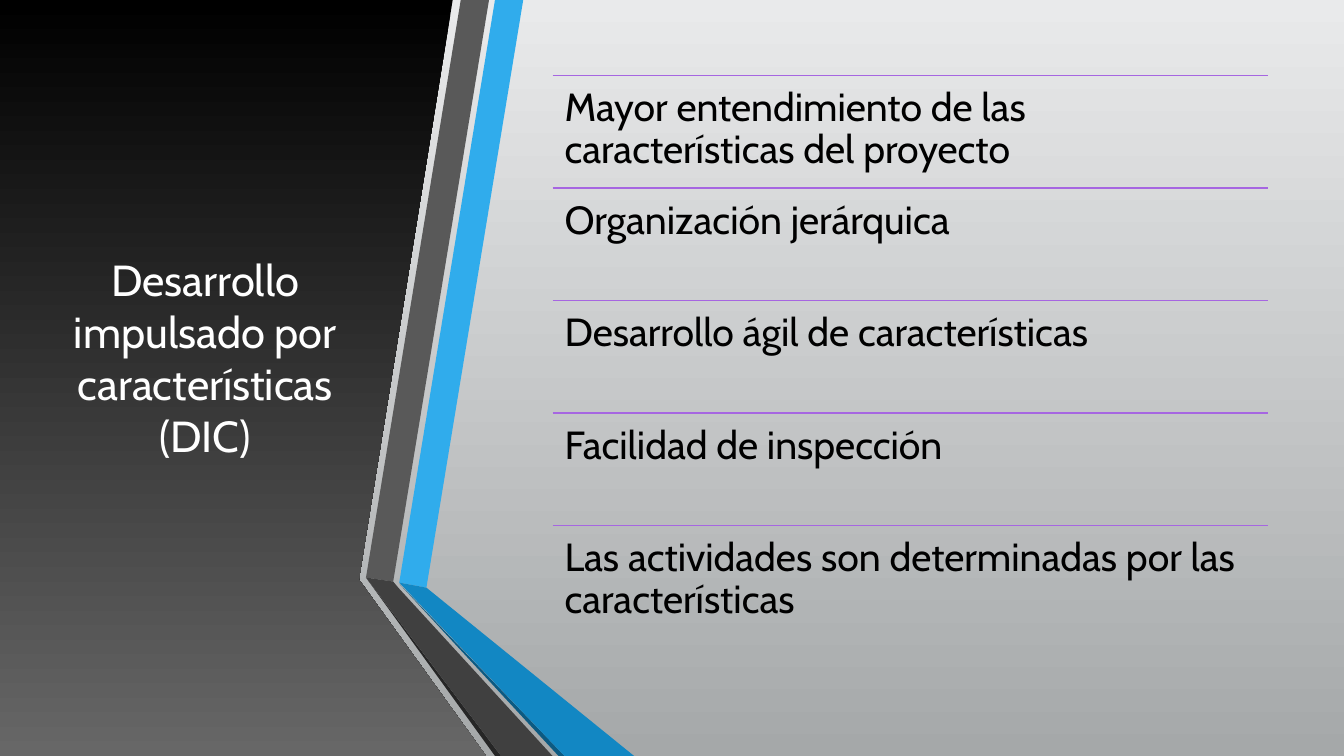
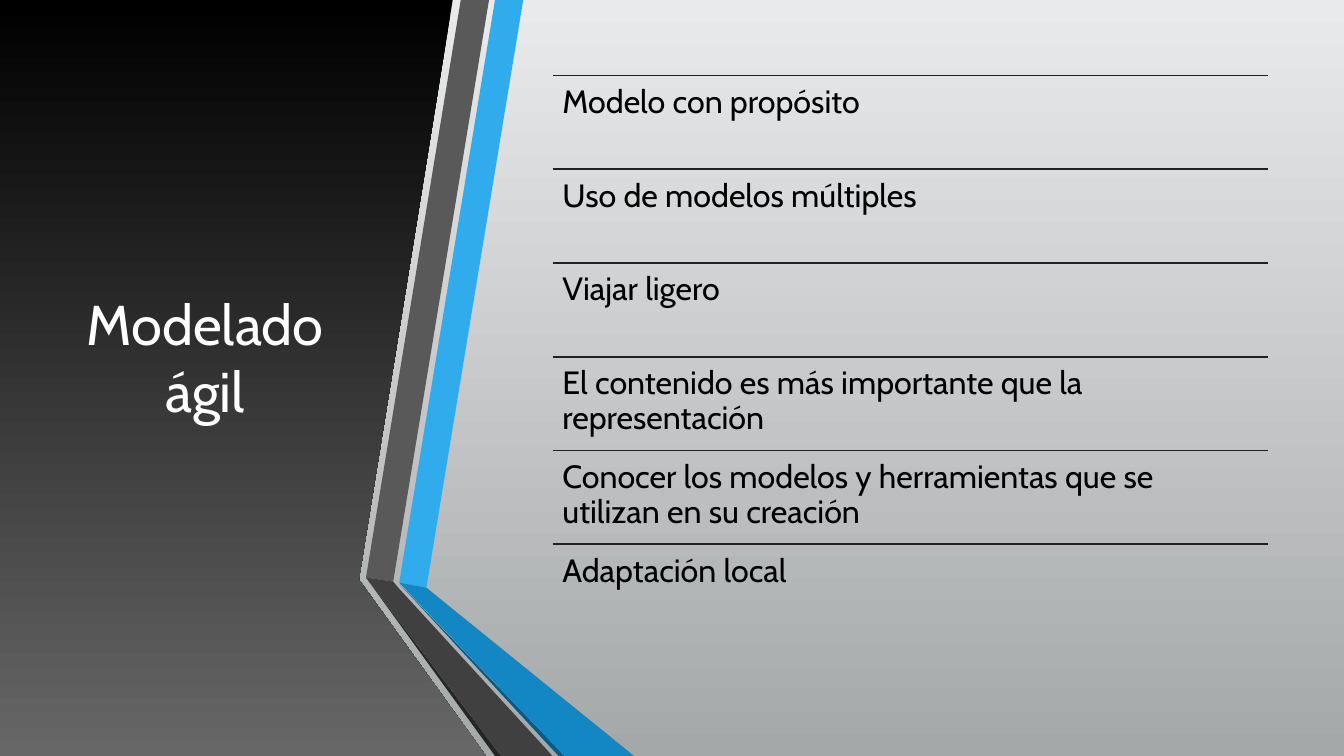
from dataclasses import dataclass

from lxml import etree
from pptx import Presentation
from pptx import util as u
from pptx.dml.color import RGBColor
from pptx.enum import shapes, text
from pptx.oxml import ns


@dataclass(frozen=True)
class Theme:
    font: str = "Cabin"
    title_color: str = "FFFFFF"
    body_color: str = "000000"
    backdrop: tuple = ("E9EAEB", "A5A8A9")
    panel: tuple = ("000000", "676767")
    purple: str = "A666E1"
    charcoal: str = "212121"
    rule_width: float = 1.25
    line_spacing: float = 0.9


THEME = Theme()
WIDTH, HEIGHT = 13.33, 7.5
TITLE_AREA = (0.59, 0.75, 2.89, 5.58)
LIST_AREA = (5.48, 0.75, 7.1, 5.58)

PANEL_OUTLINE = [(0, 0), (4.49, 0), (3.56, 5.75), (4.82, 7.5), (0, 7.5)]
RIBBONS = [
    ("30ACEC", [(3.96, 5.78), (4.23, 5.83), (5.19, 0), (4.91, 0)]),
    ("595959", [(4.85, 0), (4.57, 0), (3.63, 5.73), (3.9, 5.77)]),
    ("262626", [(3.63, 5.73), (4.91, 7.5), (4.97, 7.5)]),
    ("0C5A82", [(3.96, 5.79), (5.54, 7.5), (5.6, 7.5)]),
    ("1287C3", [(3.96, 5.78), (5.6, 7.5), (6.29, 7.5), (4.23, 5.83)]),
    ("404040", [(5.48, 7.5), (3.95, 5.83), (3.9, 5.77), (3.63, 5.73), (4.97, 7.5)]),
]

SLIDES = [
    {
        "title": "Desarrollo impulsado por características (DIC)",
        "title_size": 31,
        "item_size": 28,
        "inset": 0.12,
        "rule": THEME.purple,
        "items": [
            "Mayor entendimiento de las características del proyecto",
            "Organización jerárquica",
            "Desarrollo ágil de características",
            "Facilidad de inspección",
            "Las actividades son determinadas por las características",
        ],
    },
    {
        "title": "Modelado ágil",
        "title_size": 40,
        "item_size": 23,
        "inset": 0.1,
        "rule": THEME.charcoal,
        "items": [
            "Modelo con propósito",
            "Uso de modelos múltiples",
            "Viajar ligero",
            "El contenido es más importante que la representación",
            "Conocer los modelos y herramientas que se utilizan en su creación",
            "Adaptación local",
        ],
    },
]


def rgb(color):
    return RGBColor.from_string(color)


def fill_vertical(fill, colors):
    fill.gradient()
    fill.gradient_angle = 270
    for stop, color in zip(fill.gradient_stops, colors):
        stop.color.rgb = rgb(color)


def add_outline(page, points):
    corners = [(u.Inches(x), u.Inches(y)) for x, y in points]
    builder = page.shapes.build_freeform(*corners[0])
    builder.add_line_segments(corners[1:], close=True)
    shape = builder.convert_to_shape()
    shape.shadow.inherit = False
    shape.line.fill.background()
    return shape


def add_text(page, area, content, size, color):
    box = page.shapes.add_textbox(*map(u.Inches, area))
    box.text_frame.word_wrap = True
    para = box.text_frame.paragraphs[0]
    para.text = content
    para.font.name = THEME.font
    para.font.size = u.Pt(size)
    para.font.color.rgb = rgb(color)
    return box.text_frame, para


def add_rule(page, left, top, width, color):
    start, end, level = u.Inches(left), u.Inches(left + width), u.Inches(top)
    rule = page.shapes.add_connector(
        shapes.MSO_CONNECTOR.STRAIGHT, start, level, end, level
    )
    rule.line.color.rgb = rgb(color)
    rule.line.width = u.Pt(THEME.rule_width)
    etree.SubElement(rule.element.spPr, ns.qn("a:effectLst"))


def add_frame(page):
    fill_vertical(page.background.fill, THEME.backdrop)
    fill_vertical(add_outline(page, PANEL_OUTLINE).fill, THEME.panel)
    for color, points in RIBBONS:
        ribbon = add_outline(page, points)
        ribbon.fill.solid()
        ribbon.fill.fore_color.rgb = rgb(color)


def add_title(page, content):
    frame, para = add_text(
        page, TITLE_AREA, content["title"], content["title_size"], THEME.title_color
    )
    frame.vertical_anchor = text.MSO_ANCHOR.MIDDLE
    para.alignment = text.PP_ALIGN.CENTER


def add_list(page, content):
    left, top, width, height = LIST_AREA
    row_height = height / len(content["items"])
    inset = u.Inches(content["inset"])
    for row, item in enumerate(content["items"]):
        row_top = top + row * row_height
        add_rule(page, left, row_top, width, content["rule"])
        frame, para = add_text(
            page,
            (left, row_top, width, row_height),
            item,
            content["item_size"],
            THEME.body_color,
        )
        frame.margin_left = frame.margin_right = inset
        frame.margin_top = frame.margin_bottom = inset
        para.line_spacing = THEME.line_spacing


def main():
    deck = Presentation()
    deck.slide_width, deck.slide_height = u.Inches(WIDTH), u.Inches(HEIGHT)
    for content in SLIDES:
        page = deck.slides.add_slide(deck.slide_layouts[6])
        add_frame(page)
        add_title(page, content)
        add_list(page, content)
    deck.save("out.pptx")


if __name__ == "__main__":
    main()
